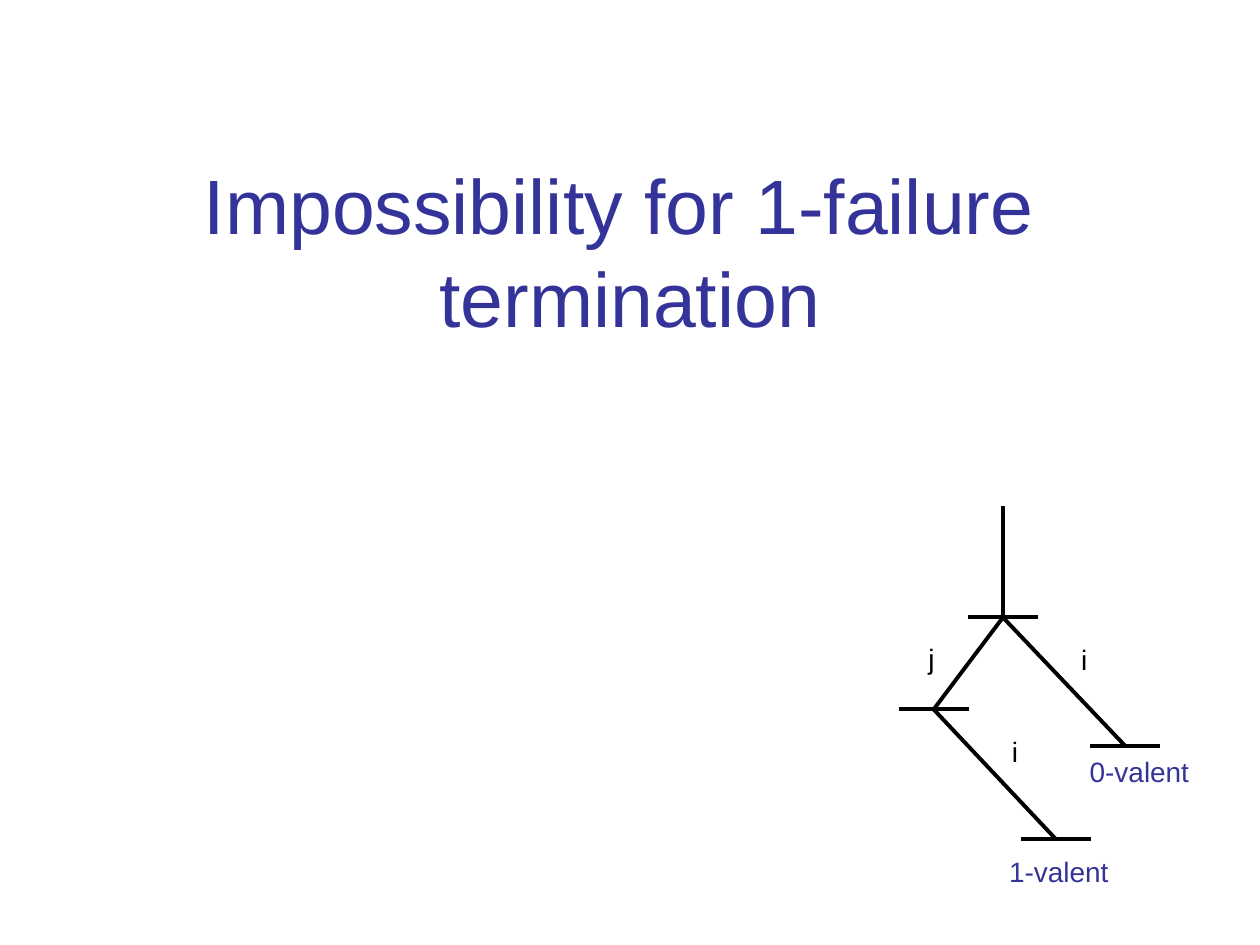
"""Build the slide on the impossibility of 1-failure termination."""
from lxml import etree
from pptx import Presentation
from pptx.dml.color import RGBColor
from pptx.enum.shapes import MSO_CONNECTOR
from pptx.enum.text import MSO_ANCHOR, PP_ALIGN
from pptx.oxml.ns import qn
from pptx.util import Inches, Pt

BLUE = RGBColor(0x33, 0x33, 0x99)
BLACK = RGBColor(0, 0, 0)
LINE = MSO_CONNECTOR.STRAIGHT
MIDDLE = MSO_ANCHOR.MIDDLE
CENTER, LEFT = PP_ALIGN.CENTER, PP_ALIGN.LEFT

deck = Presentation()
deck.slide_width, deck.slide_height = Inches(10), Inches(7.5)
COL, ROW = deck.slide_width / 100, deck.slide_height / 75
slide = deck.slides.add_slide(deck.slide_layouts[6])


def add_text(lines, left, top, width, height, size, color, align, wrap):
    box = slide.shapes.add_textbox(
        int(left * COL), int(top * ROW), int(width * COL), int(height * ROW))
    frame = box.text_frame
    frame.word_wrap = wrap
    frame.vertical_anchor = MIDDLE
    para = frame.paragraphs[0]
    para.alignment = align
    for row, line in enumerate(lines):
        if row:
            para.add_line_break()
        run = para.add_run()
        run.text = line
        run.font.name = "Arial"
        run.font.size = Pt(size)
        run.font.color.rgb = color


def add_line(start, end):
    line = slide.shapes.add_connector(
        LINE, int(start[0] * COL), int(start[1] * ROW),
        int(end[0] * COL), int(end[1] * ROW))
    line.line.color.rgb = BLACK
    line.line.width = Pt(2.25)
    etree.SubElement(line._element.spPr, qn("a:effectLst"))


add_text(["Impossibility for 1-failure ", "termination"],
         5, 3, 90, 33.7, 44, BLUE, CENTER, True)

top = (79.6, 40.2)
root = (79.6, 49)
left = (74.1, 56.3)
right = (89.3, 59.2)
low = (83.8, 66.6)
half = 2.77

for start, end in [(top, root), (root, left), (root, right), (left, low)]:
    add_line(start, end)
for x, y in [root, left, right, low]:
    add_line((x - half, y), (x + half, y))

labels = [
    ("0-valent", 85.5, 59.4, 9.9, BLUE),
    ("1-valent", 79.1, 67.3, 9.9, BLUE),
    (" i", 84.2, 50.5, 3.1, BLACK),
    (" i", 78.7, 57.8, 3.1, BLACK),
    ("j", 72.7, 50.4, 2.5, BLACK),
]
for label, x, y, width, color in labels:
    add_text([label], x, y, width, 3.7, 16, color, LEFT, False)

deck.save("out.pptx")
